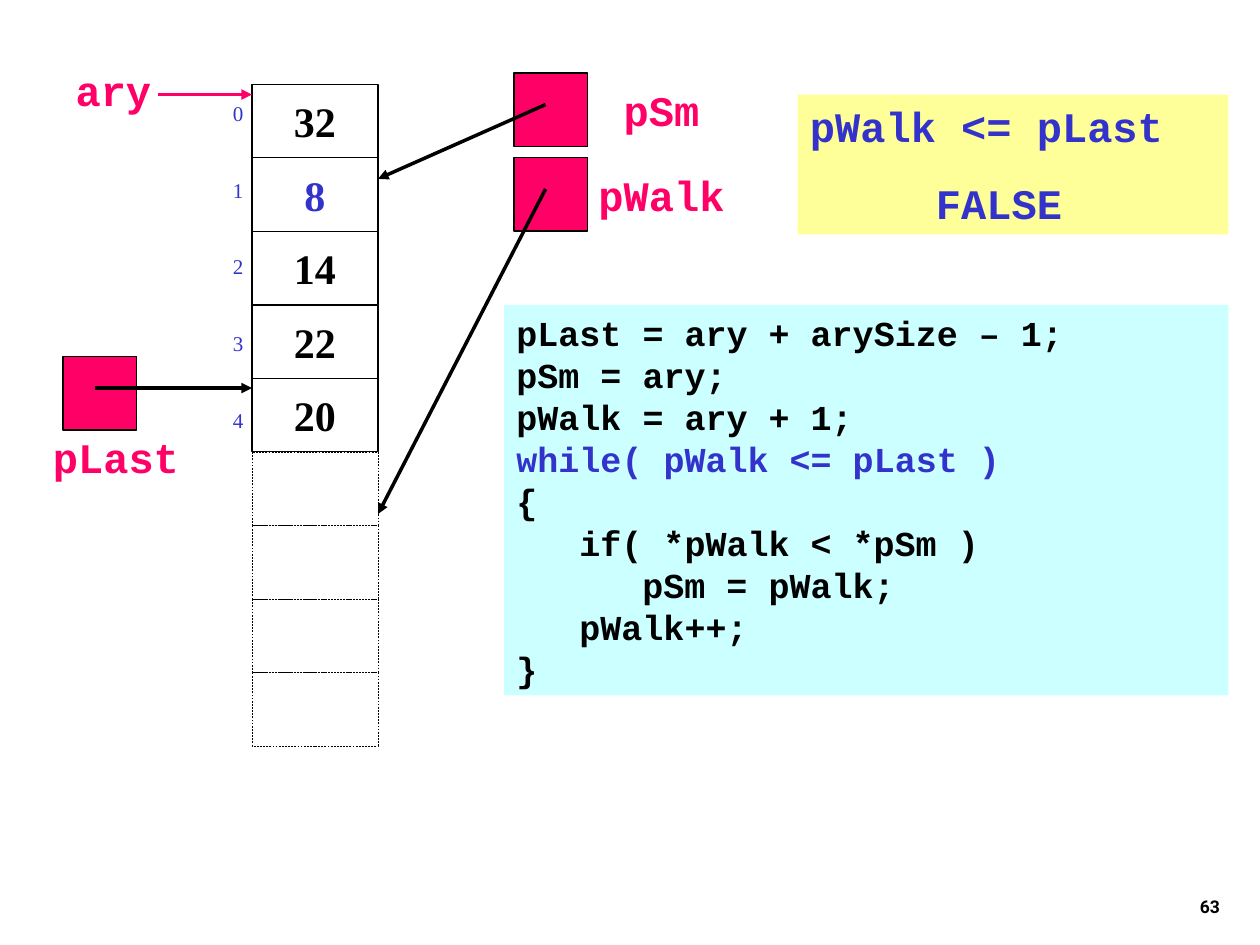
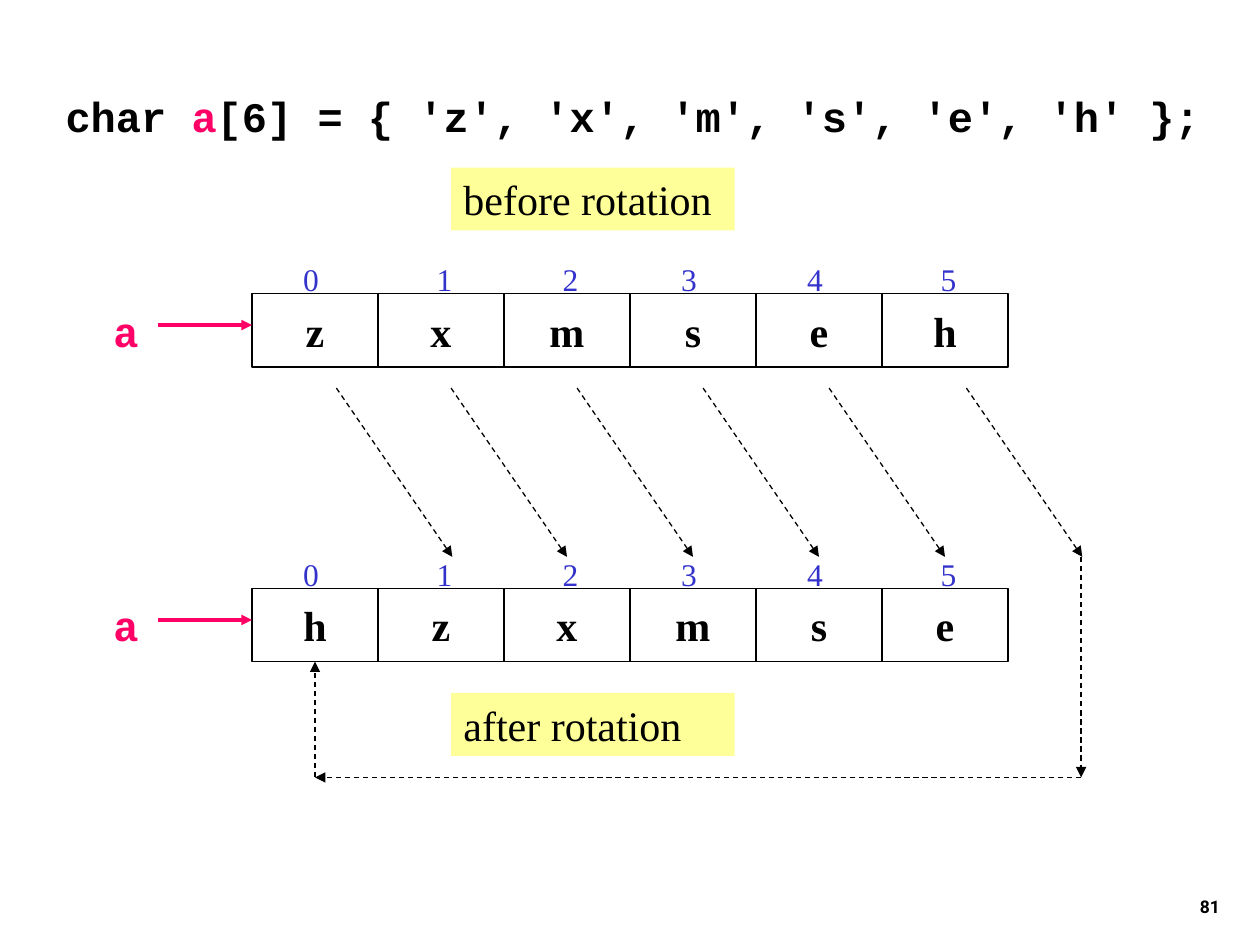
import dataclasses
import typing

import lxml.etree
import pptx
import pptx.dml.color
import pptx.enum.dml
import pptx.enum.shapes
import pptx.enum.text
import pptx.oxml.ns
import pptx.slide
import pptx.util

Inches = pptx.util.Inches
Pt = pptx.util.Pt
ALIGN = pptx.enum.text.PP_ALIGN
ANCHOR = pptx.enum.text.MSO_ANCHOR


@dataclasses.dataclass(frozen=True)
class Theme:
    black: str = "000000"
    blue: str = "3333CC"
    pink: str = "FF0066"
    yellow: str = "FFFF99"
    cyan: str = "CCFFFF"
    code_font: str = "Courier New"
    text_font: str = "Times New Roman"
    number_font: str = "Roboto"
    large: int = 24
    code: int = 20
    index: int = 18
    small: int = 12
    footer: int = 10
    leading: float = 1.2
    thin: float = 0.75
    thick: float = 2
    hairline: float = 0.25


THEME = Theme()
CELL_WIDTH = 1.0
CELL_HEIGHT = 7 / 12
ARRAY_LEFT = 2.0


@dataclasses.dataclass(frozen=True)
class Box:
    left: float
    top: float
    width: float
    height: float

    def lengths(self) -> list:
        return [Inches(value) for value in dataclasses.astuple(self)]


@dataclasses.dataclass(frozen=True)
class Span:
    text: str
    color: str = THEME.black


@dataclasses.dataclass(frozen=True)
class Para:
    spans: tuple[Span, ...]
    indent: float = 0


@dataclasses.dataclass(frozen=True)
class Arrow:
    start: tuple[float, float]
    end: tuple[float, float]
    color: str = THEME.black
    weight: float = THEME.thick
    dashed: bool = False


@dataclasses.dataclass(frozen=True)
class Pointer:
    """A pointer variable: its pink square, its name and its target arrow."""
    name: str
    square: tuple[float, float]
    label: tuple[float, float]
    target: tuple[float, float]


def rgb(color: str) -> pptx.dml.color.RGBColor:
    return pptx.dml.color.RGBColor.from_string(color)


def line(text: str, color: str = THEME.black, indent: float = 0) -> Para:
    return Para((Span(text, color),), indent)


def write(shape: typing.Any, paras: typing.Sequence[Para], *, size: float = THEME.large,
          font: str = THEME.text_font, bold: bool = False, align: ALIGN = ALIGN.LEFT,
          anchor: ANCHOR = ANCHOR.TOP, wrap: bool = True, gap: float = 0,
          center_tabs: typing.Sequence[float] = ()) -> None:
    frame = shape.text_frame
    frame.word_wrap = wrap
    frame.auto_size = pptx.enum.text.MSO_AUTO_SIZE.NONE
    frame.vertical_anchor = anchor
    for number, para in enumerate(paras):
        paragraph = frame.add_paragraph() if number else frame.paragraphs[0]
        paragraph.alignment = align
        paragraph.line_spacing = Pt(size * THEME.leading)
        paragraph.space_before = Pt(gap if number else 0)
        properties = paragraph._p.get_or_add_pPr()
        if para.indent:
            properties.set("marL", str(Inches(para.indent)))
        if center_tabs:
            tabs = lxml.etree.SubElement(properties, pptx.oxml.ns.qn("a:tabLst"))
            for position in center_tabs:
                lxml.etree.SubElement(tabs, pptx.oxml.ns.qn("a:tab"),
                                      pos=str(Inches(position)), algn="ctr")
        for span in para.spans:
            run = paragraph.add_run()
            run.text = span.text
            run.font.size = Pt(size)
            run.font.name = font
            run.font.bold = bold
            run.font.color.rgb = rgb(span.color)


def add_text(page: pptx.slide.Slide, box: Box, paras: typing.Sequence[Para],
             **text_format: typing.Any) -> None:
    write(page.shapes.add_textbox(*box.lengths()), paras, **text_format)


def add_rectangle(page: pptx.slide.Slide, box: Box, *, fill: str = "",
                  weight: float = 0, dashed: bool = False) -> typing.Any:
    shape = page.shapes.add_shape(pptx.enum.shapes.MSO_SHAPE.RECTANGLE, *box.lengths())
    shape.shadow.inherit = False
    if fill:
        shape.fill.solid()
        shape.fill.fore_color.rgb = rgb(fill)
    else:
        shape.fill.background()
    if weight:
        shape.line.color.rgb = rgb(THEME.black)
        shape.line.width = Pt(weight)
        if dashed:
            shape.line.dash_style = pptx.enum.dml.MSO_LINE.DASH
    else:
        shape.line.fill.background()
    return shape


def add_arrow(page: pptx.slide.Slide, arrow: Arrow) -> None:
    ends = [Inches(value) for value in (*arrow.start, *arrow.end)]
    connector = page.shapes.add_connector(pptx.enum.shapes.MSO_CONNECTOR.STRAIGHT, *ends)
    connector.line.color.rgb = rgb(arrow.color)
    connector.line.width = Pt(arrow.weight)
    if arrow.dashed:
        connector.line.dash_style = pptx.enum.dml.MSO_LINE.DASH
    lxml.etree.SubElement(connector.line._get_or_add_ln(),
                          pptx.oxml.ns.qn("a:tailEnd"), type="triangle")
    lxml.etree.SubElement(connector._element.spPr, pptx.oxml.ns.qn("a:effectLst"))


def add_label(page: pptx.slide.Slide, name: str, left: float, top: float) -> None:
    add_text(page, Box(left, top, CELL_WIDTH, CELL_HEIGHT), [line(name, THEME.pink)],
             font=THEME.code_font, bold=True, align=ALIGN.CENTER,
             anchor=ANCHOR.MIDDLE, wrap=False)


def add_cell(page: pptx.slide.Slide, left: float, top: float, value: str,
             color: str = THEME.black) -> None:
    cell = add_rectangle(page, Box(left, top, CELL_WIDTH, CELL_HEIGHT), weight=THEME.thin)
    write(cell, [line(value, color)], bold=True, align=ALIGN.CENTER,
          anchor=ANCHOR.MIDDLE, wrap=False)


def add_array_arrow(page: pptx.slide.Slide, top: float) -> None:
    add_arrow(page, Arrow((1.25, top), (ARRAY_LEFT, top), THEME.pink))


def add_pointer(page: pptx.slide.Slide, pointer: Pointer) -> None:
    left, top = pointer.square
    add_label(page, pointer.name, *pointer.label)
    add_rectangle(page, Box(left, top, CELL_HEIGHT, CELL_HEIGHT),
                  fill=THEME.pink, weight=THEME.thin)
    add_arrow(page, Arrow((left + 0.25, top + 0.25), pointer.target))


def add_page(deck: typing.Any, layout: str, number: int) -> pptx.slide.Slide:
    page = deck.slides.add_slide(deck.slide_layouts.get_by_name(layout))
    add_text(page, Box(7.7, 6.83, 2.08, 0.5), [line(str(number))], size=THEME.footer,
             font=THEME.number_font, bold=True, align=ALIGN.RIGHT, anchor=ANCHOR.BOTTOM)
    return page


# Finding the smallest element with pointers
SEARCH_CODE = (
    line("pLast = ary + arySize – 1;"),
    line("pSm = ary;"),
    line("pWalk = ary + 1;"),
    line("while( pWalk <= pLast )", THEME.blue),
    line("{"),
    line("\tif( *pWalk < *pSm )"),
    line("\t\tpSm = pWalk;"),
    line("\tpWalk++;"),
    line("}"),
)
POINTERS = (
    Pointer("pLast", (0.5, 2.83), (0.42, 3.33), (2, 3.08)),
    Pointer("pWalk", (4.08, 1.25), (4.75, 1.25), (3, 4.08)),
    Pointer("pSm", (4.08, 0.58), (4.75, 0.58), (3, 1.42)),
)


def build_search_page(deck: typing.Any) -> None:
    page = add_page(deck, "Blank", 63)
    code = add_rectangle(page, Box(4, 2.42, 5.75, 3.1), fill=THEME.cyan)
    write(code, SEARCH_CODE, size=THEME.code, font=THEME.code_font, bold=True)

    # Array cells, then the unused memory below them
    values = ("32", "8", "14", "22", "20")
    smallest = "8"
    array_top = 0.67
    for row, value in enumerate(values):
        add_cell(page, ARRAY_LEFT, array_top + row * CELL_HEIGHT, value,
                 THEME.blue if value == smallest else THEME.black)
    for row in range(len(values), len(values) + 4):
        add_rectangle(page, Box(ARRAY_LEFT, array_top + row * CELL_HEIGHT,
                                CELL_WIDTH, CELL_HEIGHT),
                      weight=THEME.hairline, dashed=True)
    add_text(page, Box(1.75, 0.75, 0.42, 2.74),
             [line(str(index), THEME.blue) for index in range(len(values))],
             size=THEME.small, gap=29.4)

    # Array name and pointers
    add_label(page, "ary", 0.4, 0.42)
    add_array_arrow(page, 0.75)
    for pointer in POINTERS:
        add_pointer(page, pointer)

    # Loop condition
    condition = add_rectangle(page, Box(6.33, 0.75, 3.42, 1.11), fill=THEME.yellow)
    write(condition, [line("pWalk <= pLast", THEME.blue),
                      line("FALSE", THEME.blue, indent=1)],
          font=THEME.code_font, bold=True, gap=15)


# Rotating an array by one place
INDEX_TABS = (0.37, 1.43, 2.43, 3.37, 4.37, 5.43)


def add_row_array(page: pptx.slide.Slide, top: float, letters: str,
                  caption: str, caption_top: float) -> None:
    for column, letter in enumerate(letters):
        add_cell(page, ARRAY_LEFT + column * CELL_WIDTH, top, letter)
    indexes = "".join(f"\t{index}" for index in range(len(letters)))
    add_text(page, Box(ARRAY_LEFT, top - 0.41, 6, CELL_HEIGHT), [line(indexes, THEME.blue)],
             size=THEME.index, anchor=ANCHOR.MIDDLE, center_tabs=INDEX_TABS)
    add_label(page, "a", 0.5, top)
    add_array_arrow(page, top + 0.25)
    write(add_rectangle(page, Box(3.58, caption_top, 2.25, 0.5), fill=THEME.yellow),
          [line(caption)])


def build_rotation_page(deck: typing.Any) -> None:
    page = add_page(deck, "Title Only", 81)
    title = page.shapes.title
    title.left, title.top, title.width, title.height = Box(0.42, 0.67, 9.25, 1.11).lengths()
    declaration = Para((Span("char "), Span("a", THEME.pink),
                        Span("[6] = { 'z', 'x', 'm', 's', 'e', 'h' };")))
    write(title, [declaration], font=THEME.code_font, bold=True)

    add_row_array(page, 2.33, "zxmseh", "before rotation", 1.33)
    add_row_array(page, 4.67, "hzxmse", "after rotation", 5.5)

    # Each element moves right; the last one wraps round to the front
    moves = [((left, 3.08), (left + 0.92, 4.42))
             for left in (2.67, 3.58, 4.58, 5.58, 6.58, 7.67)]
    corners = ((8.58, 4.42), (8.58, 6.17), (2.5, 6.17), (2.5, 5.25))
    for start, end in [*moves, *zip(corners, corners[1:])]:
        add_arrow(page, Arrow(start, end, weight=THEME.thin, dashed=True))


def main() -> None:
    deck = pptx.Presentation()
    deck.slide_width, deck.slide_height = Inches(10), Inches(7.5)
    build_search_page(deck)
    build_rotation_page(deck)
    deck.save("out.pptx")


if __name__ == "__main__":
    main()
